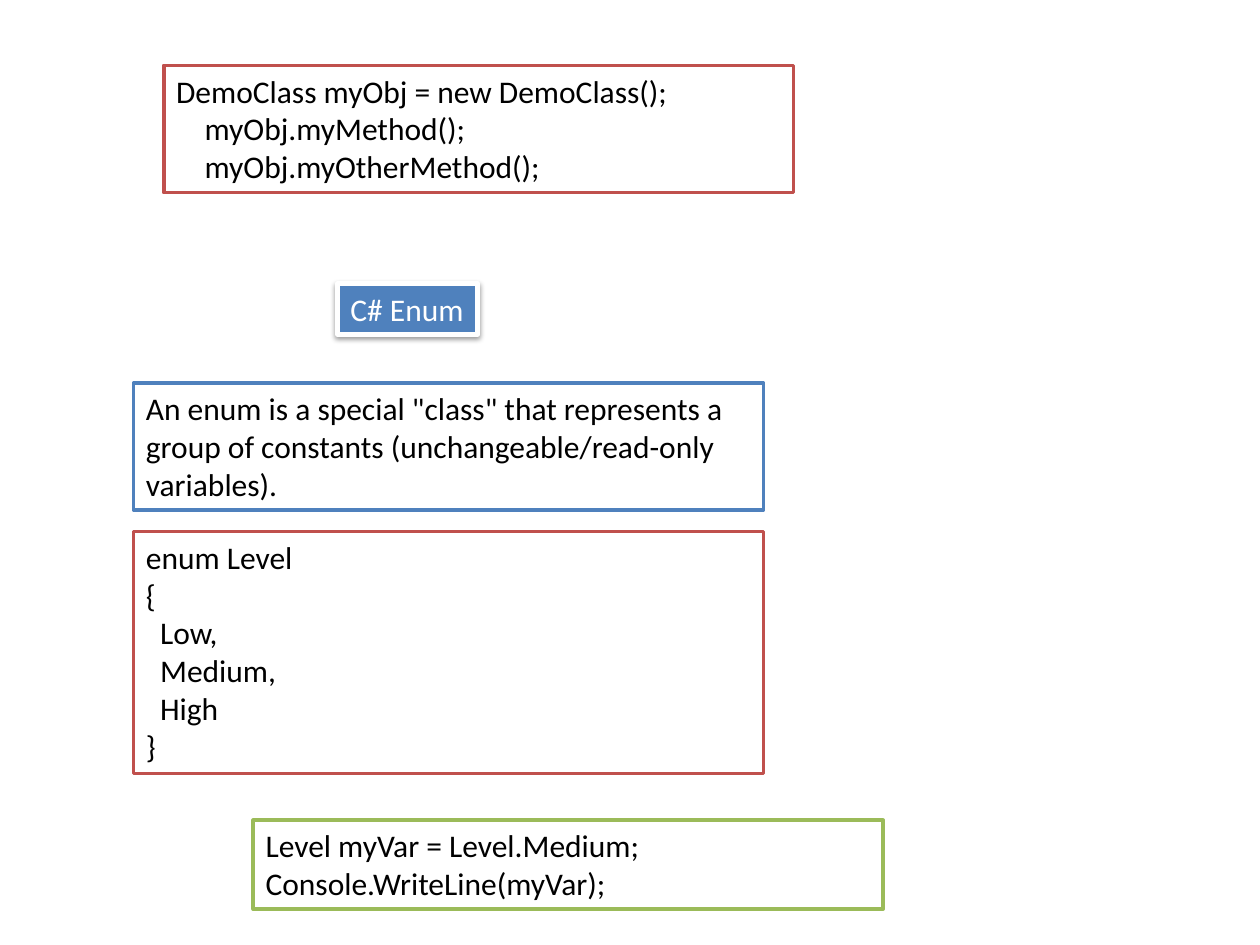
"""Build a slide on C# objects and enums with outlined code boxes."""
from lxml.etree import SubElement
from pptx import Presentation
from pptx.dml.color import RGBColor as Color
from pptx.enum.text import MSO_ANCHOR as Anchor, MSO_AUTO_SIZE as AutoSize, PP_ALIGN as Align
from pptx.oxml.ns import qn
from pptx.util import Pt

COLORS = {"white": "FFFFFF", "black": "000000", "blue": "4F81BD", "red": "C0504D", "green": "9BBB59"}
BOX_WIDTH, LINE_HEIGHT, PADDING, SPACE_WIDTH = 360, 21.83, 7.2, 4.07

TITLE = "C# Enum"
TITLE_AREA = (193, 162, 80, 29)
BOXES = [
    (93.6, 37.4, 3, "red", [
        (0, "DemoClass myObj = new DemoClass();"),
        (4, "myObj.myMethod();"),
        (4, "myObj.myOtherMethod();"),
    ]),
    (76.3, 218.9, 3, "blue", [
        (0, 'An enum is a special "class" that represents a group of constants '
            "(unchangeable/read-only variables)."),
    ]),
    (76.3, 303.8, 6, "red", [
        (0, "enum Level"), (0, "{"), (2, "Low,"), (2, "Medium,"), (2, "High"), (0, "}"),
    ]),
    (144.7, 468.7, 2, "green", [
        (0, "Level myVar = Level.Medium;"),
        (0, "Console.WriteLine(myVar);"),
    ]),
]


def color(name):
    return Color.from_string(COLORS[name])


def place(box, left, top, width, height):
    box.left, box.top, box.width, box.height = map(Pt, (left, top, width, height))


def write(box, lines, ink="black", fill="white", line="red", weight=2, wrap=True):
    box.fill.solid()
    box.fill.fore_color.rgb = color(fill)
    box.line.color.rgb = color(line)
    box.line.width = Pt(weight)
    frame = box.text_frame
    frame.word_wrap = wrap
    frame.auto_size = AutoSize.NONE
    frame.vertical_anchor = Anchor.TOP
    for number, (spaces, text) in enumerate(lines):
        para = frame.add_paragraph() if number else frame.paragraphs[0]
        para.alignment = Align.LEFT
        if spaces:
            para._p.get_or_add_pPr().set("marL", str(int(Pt(spaces * SPACE_WIDTH))))
        span = para.add_run()
        span.text = text
        span.font.name = "Calibri"
        span.font.size = Pt(18)
        span.font.color.rgb = color(ink)


def add_shadow(box):
    box.shadow.inherit = False
    effects = box.element.spPr.find(qn("a:effectLst"))
    shadow = SubElement(effects, qn("a:outerShdw"), blurRad=str(int(Pt(3.1))),
                        dist=str(int(Pt(1.6))), dir="5400000", rotWithShape="0")
    shade = SubElement(shadow, qn("a:srgbClr"), val=COLORS["black"])
    SubElement(shade, qn("a:alpha"), val="38000")


def main():
    deck = Presentation()
    deck.slide_width, deck.slide_height = Pt(720), Pt(540)
    page = deck.slides.add_slide(deck.slide_layouts[5])

    title = page.shapes.title
    place(title, *TITLE_AREA)
    write(title, [(0, TITLE)], ink="white", fill="blue", line="white", weight=3, wrap=False)
    add_shadow(title)

    for left, top, rows, line, lines in BOXES:
        box = page.shapes.add_textbox(0, 0, 0, 0)
        place(box, left, top, BOX_WIDTH, rows * LINE_HEIGHT + PADDING)
        write(box, lines, line=line)

    deck.save("out.pptx")


if __name__ == "__main__":
    main()
